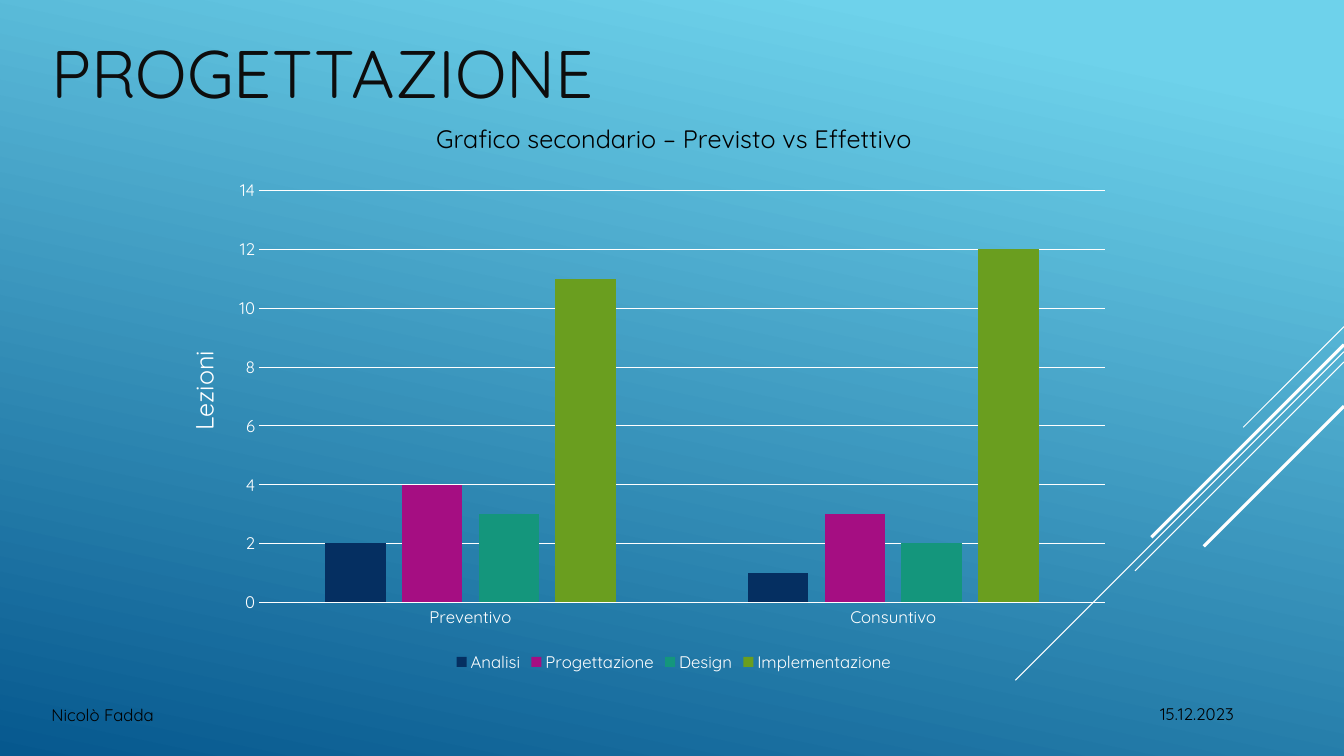
from lxml.etree import SubElement
from pptx import Presentation
from pptx.chart.data import CategoryChartData
from pptx.dml.color import RGBColor
from pptx.enum.chart import XL_CHART_TYPE as ChartType, XL_LEGEND_POSITION as LegendPosition
from pptx.enum.chart import XL_TICK_MARK as TickMark
from pptx.enum.shapes import MSO_CONNECTOR as Connector
from pptx.enum.text import MSO_ANCHOR as Anchor
from pptx.oxml import parse_xml
from pptx.oxml.ns import nsdecls, qn
from pptx.util import Inches, Pt

WHITE = RGBColor(0xFF, 0xFF, 0xFF)
BLACK = RGBColor(0x00, 0x00, 0x00)
INK = RGBColor(0x0D, 0x0D, 0x0D)
SKY = RGBColor(0x6E, 0xD2, 0xEB)
OCEAN = RGBColor(0x06, 0x58, 0x8E)
NAVY = RGBColor(0x05, 0x2F, 0x61)
MAGENTA = RGBColor(0xA5, 0x0E, 0x82)
TEAL = RGBColor(0x14, 0x96, 0x7C)
GREEN = RGBColor(0x6A, 0x9E, 0x1F)

presentation = Presentation()
presentation.slide_width = Inches(13.33)
presentation.slide_height = Inches(7.5)
COLUMN = presentation.slide_width / 100
ROW = presentation.slide_height / 100
slide = presentation.slides.add_slide(presentation.slide_layouts[6])


def place(left, top, width, height):
    return [round(length) for length in (left * COLUMN, top * ROW, width * COLUMN, height * ROW)]


def set_font(font, size, color):
    for name, value in {"name": "Quicksand", "size": Pt(size), "bold": False}.items():
        setattr(font, name, value)
    font.color.rgb = color


background = slide.background.fill
background.gradient()
background.gradient_angle = 258
for stop, position, color in zip(background.gradient_stops, (0.1, 1), (SKY, OCEAN)):
    stop.position = position
    stop.color.rgb = color

right_edge = presentation.slide_width
for top, reach, weight in [
    (43.2, 7.5, 0.75),
    (46.53, 24.45, 0.75),
    (47.87, 15.55, 0.75),
    (45.6, 14.33, 2.25),
    (53.73, 10.43, 2.25),
]:
    start, run = round(top * ROW), round(reach * COLUMN)
    ray = slide.shapes.add_connector(
        Connector.STRAIGHT, right_edge, start, right_edge - run, start + run
    )
    ray.line.color.rgb = WHITE
    ray.line.width = Pt(weight)
    SubElement(ray._element.spPr, qn("a:effectLst"))

chart_data = CategoryChartData()
chart_data.categories = ["Preventivo", "Consuntivo"]
phases = [
    ("Analisi", (2, 1), NAVY),
    ("Progettazione", (4, 3), MAGENTA),
    ("Design", (3, 2), TEAL),
    ("Implementazione", (11, 12), GREEN),
]
for name, lessons, color in phases:
    chart_data.add_series(name, lessons)

chart = slide.shapes.add_chart(
    ChartType.COLUMN_CLUSTERED, *place(16.95, 13.07, 66.38, 76.4), chart_data
).chart
set_font(chart.font, 10, WHITE)

chart.has_title = True
chart.chart_title.include_in_layout = False
chart.chart_title.text_frame.text = "Grafico secondario – Previsto vs Effettivo"
set_font(chart.chart_title.text_frame.paragraphs[0].runs[0].font, 18, BLACK)

chart.has_legend = True
chart.legend.position = LegendPosition.BOTTOM
chart.legend.include_in_layout = False
set_font(chart.legend.font, 12, WHITE)

plot = chart.plots[0]
for name, value in {"gap_width": 219, "overlap": -27, "vary_by_categories": False}.items():
    setattr(plot, name, value)
for series, (name, lessons, color) in zip(plot.series, phases):
    series.format.fill.solid()
    series.format.fill.fore_color.rgb = color

for axis in (chart.category_axis, chart.value_axis):
    axis.major_tick_mark = axis.minor_tick_mark = TickMark.NONE
    set_font(axis.tick_labels.font, 12, WHITE)
for name, value in {"minimum_scale": 0, "maximum_scale": 14, "major_unit": 2}.items():
    setattr(chart.value_axis, name, value)
chart.value_axis.format.line.fill.background()
for line in (chart.category_axis.format.line, chart.value_axis.major_gridlines.format.line):
    line.color.rgb = WHITE
    line.width = Pt(0.75)

plot_area = chart._chartSpace.chart.plotArea
for layout in plot_area.findall(qn("c:layout")):
    plot_area.remove(layout)
shares = "".join(
    f'<c:{side} val="{percent / 100:.3f}"/>'
    for side, percent in {"x": 3.5, "y": 15.9, "w": 94.8, "h": 71.3}.items()
)
plot_area.insert(0, parse_xml(
    f'<c:layout {nsdecls("c")}><c:manualLayout><c:layoutTarget val="inner"/>'
    f'<c:xMode val="edge"/><c:yMode val="edge"/>{shares}</c:manualLayout></c:layout>'
))

for text, area, size, color, rotation in [
    ("PROGETTAZIONE", (3.08, 3.47, 62.25, 12.13), 48, INK, 0),
    ("Nicolò Fadda", (3.08, 92.53, 17.7, 4), 12, BLACK, 0),
    ("15.12.2023", (85.58, 92.4, 17.7, 4), 12, BLACK, 0),
    ("Lezioni", (10.5, 47.33, 9.3, 5.33), 18, WHITE, 270),
]:
    box = slide.shapes.add_textbox(*place(*area))
    box.rotation = rotation
    frame = box.text_frame
    for name, value in {"text": text, "word_wrap": True, "vertical_anchor": Anchor.MIDDLE}.items():
        setattr(frame, name, value)
    set_font(frame.paragraphs[0].runs[0].font, size, color)

presentation.save("out.pptx")
